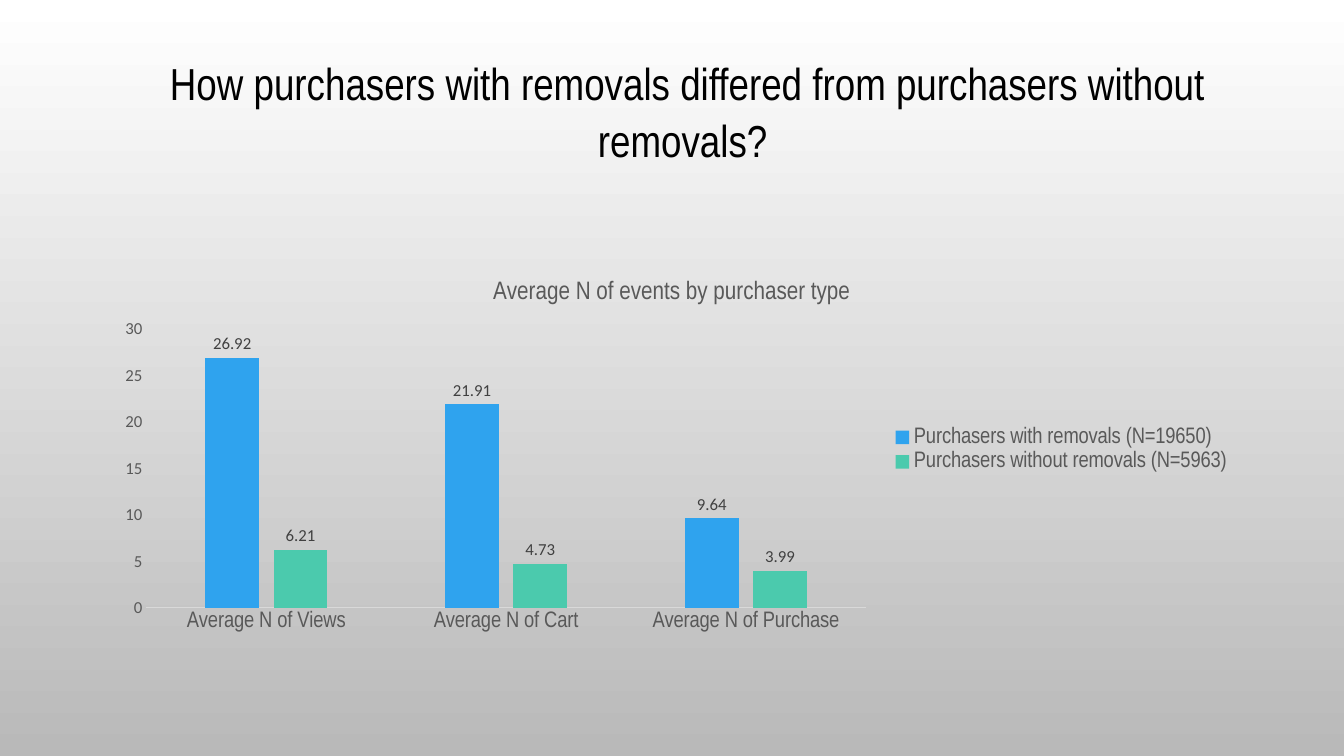
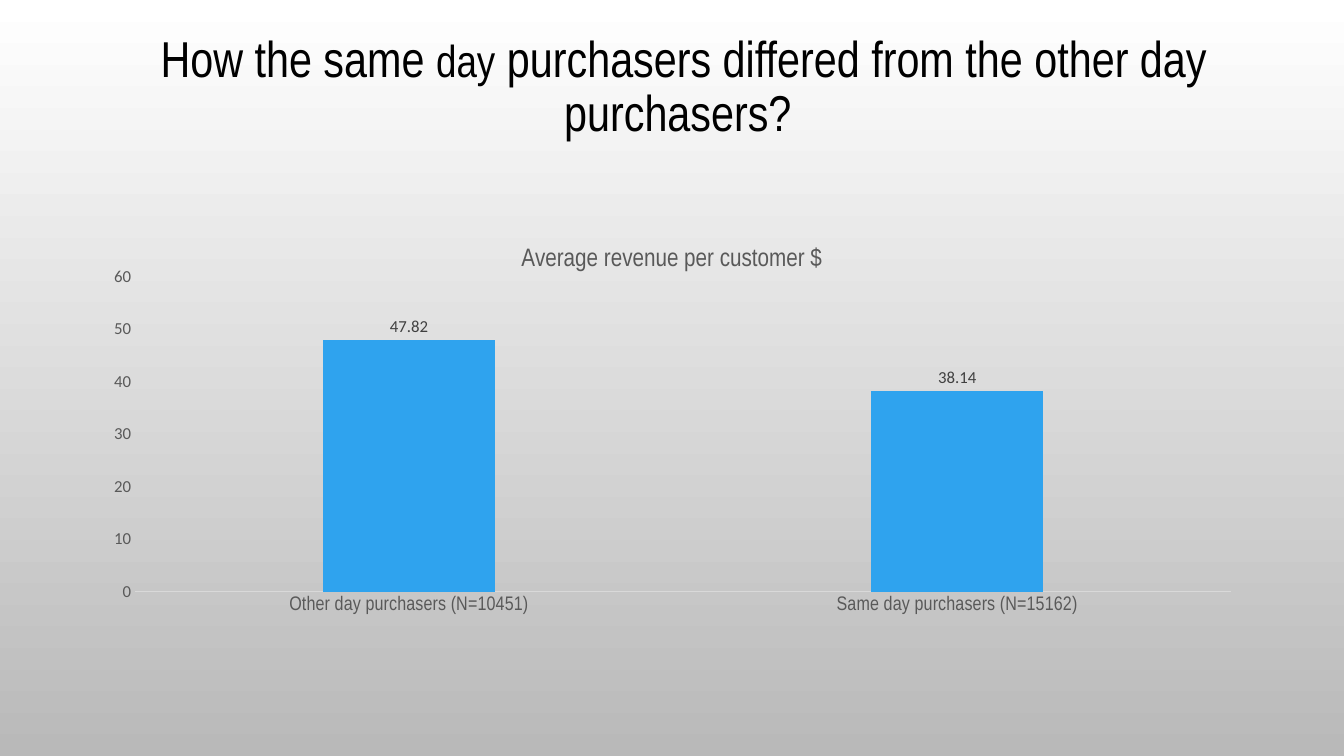
from lxml import etree
from pptx import Presentation
from pptx.chart.data import CategoryChartData
from pptx.dml.color import RGBColor
from pptx.enum import chart as chart_enum, text as text_enum
from pptx.oxml import ns
from pptx.util import Cm, Pt

BLACK = RGBColor(0x00, 0x00, 0x00)
WHITE = RGBColor(0xFF, 0xFF, 0xFF)
BACKGROUND_GREY = RGBColor(0xB9, 0xB9, 0xB9)
AXIS_LINE = RGBColor(0xD9, 0xD9, 0xD9)
AXIS_TEXT = RGBColor(0x59, 0x59, 0x59)
LABEL_TEXT = RGBColor(0x40, 0x40, 0x40)
SERIES_COLORS = (RGBColor(0x2F, 0xA3, 0xEE), RGBColor(0x4B, 0xCA, 0xAD))

HEADING_FONT = "Arial Narrow"
NUMBER_FONT = "Calibri"
CHART_LEFT, CHART_WIDTH = Cm(2.54), Cm(28.78)
TITLE_HEIGHT = Cm(4.45)


def format_font(font, size, color, name=HEADING_FONT):
    font.name = name
    font.size = Pt(size)
    font.bold = False
    font.color.rgb = color


def add_text(paragraph, text, size, color=BLACK, name=HEADING_FONT):
    run = paragraph.add_run()
    run.text = text
    format_font(run.font, size, color, name)


def set_background(presentation):
    """Give every slide the white-to-grey gradient through the master."""
    fill = presentation.slide_master.background.fill
    fill.gradient()
    fill.gradient_angle = 270
    for stop, color in zip(fill.gradient_stops, (WHITE, BACKGROUND_GREY)):
        stop.color.rgb = color


def add_titled_slide(presentation, runs, left, top, width, line_spacing):
    """Add a title-only slide; runs holds (text, size) pairs."""
    slide = presentation.slides.add_slide(presentation.slide_layouts[5])
    title = slide.shapes.title
    title.left, title.top, title.width, title.height = left, top, width, TITLE_HEIGHT
    frame = title.text_frame
    frame.word_wrap = True
    frame.auto_size = text_enum.MSO_AUTO_SIZE.NONE
    frame.vertical_anchor = text_enum.MSO_ANCHOR.MIDDLE
    paragraph = frame.paragraphs[0]
    paragraph.alignment = text_enum.PP_ALIGN.CENTER
    paragraph.line_spacing = line_spacing
    for text, size in runs:
        add_text(paragraph, text, size)
    return slide


def set_plot_layout(chart, x, y, w, h):
    """Place the inner plot area, in fractions of the chart."""
    plot_area = chart.plots[0]._element.getparent()
    for old_layout in plot_area.findall(ns.qn("c:layout")):
        plot_area.remove(old_layout)
    layout = etree.Element(ns.qn("c:layout"))
    manual = etree.SubElement(layout, ns.qn("c:manualLayout"))
    settings = {"layoutTarget": "inner", "xMode": "edge", "yMode": "edge",
                "x": x, "y": y, "w": w, "h": h}
    for tag, value in settings.items():
        etree.SubElement(manual, ns.qn(f"c:{tag}")).set("val", str(value))
    plot_area.insert(0, layout)


def format_axes(chart, category_size, maximum, major_unit):
    category_axis, value_axis = chart.category_axis, chart.value_axis
    for axis in (category_axis, value_axis):
        axis.has_major_gridlines = False
        axis.major_tick_mark = chart_enum.XL_TICK_MARK.NONE
        axis.minor_tick_mark = chart_enum.XL_TICK_MARK.NONE
    format_font(category_axis.tick_labels.font, category_size, AXIS_TEXT)
    category_axis.format.line.color.rgb = AXIS_LINE
    category_axis.format.line.width = Pt(0.75)
    format_font(value_axis.tick_labels.font, 12, AXIS_TEXT, NUMBER_FONT)
    value_axis.format.line.fill.background()
    value_axis.minimum_scale = 0
    value_axis.maximum_scale = maximum
    value_axis.major_unit = major_unit


def format_series(series, color):
    series.format.fill.solid()
    series.format.fill.fore_color.rgb = color
    labels = series.data_labels
    labels.show_value = True
    labels.position = chart_enum.XL_LABEL_POSITION.OUTSIDE_END
    format_font(labels.font, 12, LABEL_TEXT, NUMBER_FONT)


def add_column_chart(slide, top, height, title, categories, series, plot_layout,
                     category_size, maximum, major_unit):
    """Add a clustered column chart; several series bring a legend."""
    data = CategoryChartData()
    data.categories = categories
    for name, values in series.items():
        data.add_series(name, values)
    chart = slide.shapes.add_chart(
        chart_enum.XL_CHART_TYPE.COLUMN_CLUSTERED,
        CHART_LEFT, top, CHART_WIDTH, height, data).chart
    format_font(chart.font, 10, BLACK, NUMBER_FONT)
    chart.has_title = True
    add_text(chart.chart_title.text_frame.paragraphs[0], title, 18, AXIS_TEXT)
    chart.chart_title.include_in_layout = False

    plot = chart.plots[0]
    plot.vary_by_categories = False
    plot.gap_width = 219
    plot.overlap = -27
    for column_series, color in zip(plot.series, SERIES_COLORS):
        format_series(column_series, color)
    format_axes(chart, category_size, maximum, major_unit)
    set_plot_layout(chart, *plot_layout)

    chart.has_legend = len(series) > 1
    if chart.has_legend:
        chart.legend.position = chart_enum.XL_LEGEND_POSITION.RIGHT
        chart.legend.include_in_layout = False
        format_font(chart.legend.font, 16, AXIS_TEXT)


def add_removals_slide(presentation):
    slide = add_titled_slide(
        presentation,
        [("How purchasers with removals differed from purchasers without removals? ", 32)],
        Cm(2.54), Cm(0.53), Cm(29.59), line_spacing=1.07)
    add_column_chart(
        slide, Cm(6.58), Cm(9.5), "Average N of events by purchaser type",
        ["Average N of Views", "Average N of Cart", "Average N of Purchase"],
        {"Purchasers with removals (N=19650)": (26.92, 21.91, 9.64),
         "Purchasers without removals (N=5963)": (6.21, 4.73, 3.99)},
        plot_layout=(0.04, 0.18, 0.63, 0.74),
        category_size=16, maximum=30, major_unit=5)


def add_same_day_slide(presentation):
    slide = add_titled_slide(
        presentation,
        [("How the same ", 36), ("day", 32),
         (" purchasers differed from the other day purchasers? ", 36)],
        Cm(1.85), Cm(0), Cm(30.76), line_spacing=0.9)
    add_column_chart(
        slide, Cm(5.72), Cm(11.35), "Average revenue per customer $",
        ["Other day purchasers (N=10451)", "Same day purchasers (N=15162)"],
        {"Series 1": (47.82, 38.14)},
        plot_layout=(0.03, 0.11, 0.96, 0.7),
        category_size=14, maximum=60, major_unit=10)


def main():
    presentation = Presentation()
    presentation.slide_width, presentation.slide_height = Cm(33.87), Cm(19.05)
    set_background(presentation)
    add_removals_slide(presentation)
    add_same_day_slide(presentation)
    presentation.save("out.pptx")


if __name__ == "__main__":
    main()
